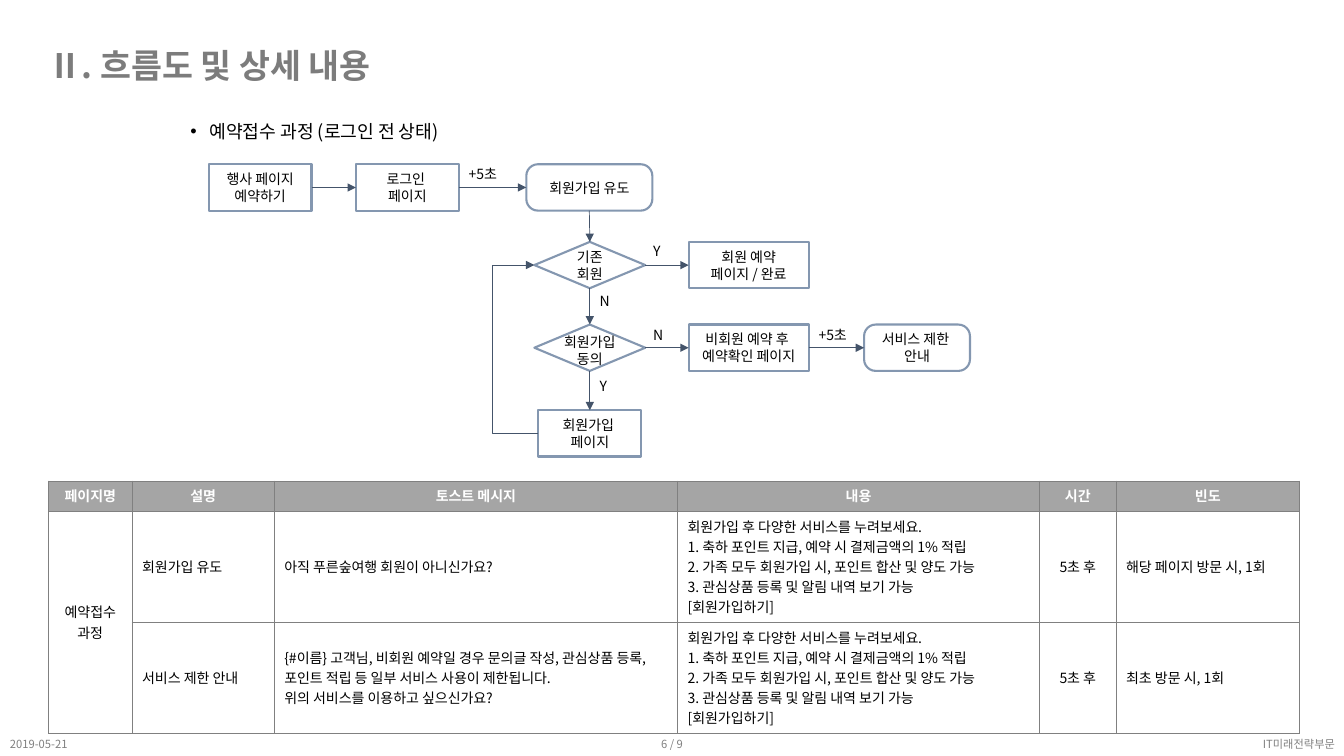
import copy
import dataclasses

import lxml.etree
import pptx
import pptx.dml.color
import pptx.enum.shapes
import pptx.enum.text
import pptx.oxml.ns
import pptx.util

Inches = pptx.util.Inches
Pt = pptx.util.Pt
qn = pptx.oxml.ns.qn
SHAPE = pptx.enum.shapes.MSO_SHAPE
CONNECTOR = pptx.enum.shapes.MSO_CONNECTOR
ALIGN = pptx.enum.text.PP_ALIGN
ANCHOR = pptx.enum.text.MSO_ANCHOR
AUTO_SIZE = pptx.enum.text.MSO_AUTO_SIZE


@dataclasses.dataclass(frozen=True)
class Theme:
    font: str = "Noto Sans CJK KR"
    text: str = "000000"
    title: str = "7C7C7C"
    muted: str = "808080"
    white: str = "FFFFFF"
    header: str = "A5A5A5"
    node: str = "8497B0"
    arrow: str = "44546A"
    body_size: float = 10
    title_size: float = 24
    subtitle_size: float = 13
    footer_size: float = 8


THEME = Theme()

TITLE = "Ⅱ. 흐름도 및 상세 내용"
SUBTITLE = "예약접수 과정 (로그인 전 상태)"
NODE_HEIGHT = 0.46
TOP_ROW, MEMBER_ROW, CONSENT_ROW, JOIN_ROW = 1.63, 2.4, 3.22, 4.07
LOOP_X = 4.89

# name: (kind, left, top, width, text)
NODES = {
    "event": (SHAPE.RECTANGLE, 2.07, TOP_ROW, 1.02, "행사 페이지\v예약하기"),
    "login": (SHAPE.RECTANGLE, 3.53, TOP_ROW, 1.02, "로그인 \v페이지"),
    "invite": (SHAPE.ROUNDED_RECTANGLE, 5.22, TOP_ROW, 1.25, "회원가입 유도"),
    "member": (SHAPE.FLOWCHART_DECISION, 5.3, MEMBER_ROW, 1.1, "기존회원"),
    "booked": (SHAPE.RECTANGLE, 6.83, MEMBER_ROW, 1.19, "회원 예약\v페이지 / 완료"),
    "consent": (SHAPE.FLOWCHART_DECISION, 5.3, CONSENT_ROW, 1.1, ""),
    "guest": (SHAPE.RECTANGLE, 6.83, CONSENT_ROW, 1.19, "비회원 예약 후 \v예약확인 페이지"),
    "limit": (SHAPE.ROUNDED_RECTANGLE, 8.57, CONSENT_ROW, 1.05, "서비스 제한 \v안내"),
    "join": (SHAPE.RECTANGLE, 5.34, JOIN_ROW, 1.02, "회원가입 \v페이지"),
}
TOP, LEFT, BOTTOM, RIGHT = range(4)
ARROWS = [
    ("event", RIGHT, "login", LEFT),
    ("login", RIGHT, "invite", LEFT),
    ("invite", BOTTOM, "member", TOP),
    ("member", RIGHT, "booked", LEFT),
    ("member", BOTTOM, "consent", TOP),
    ("consent", RIGHT, "guest", LEFT),
    ("guest", RIGHT, "limit", LEFT),
    ("consent", BOTTOM, "join", TOP),
]
# left, top, width, height, text, alignment
LABELS = [
    (5.46, 3.26, 0.78, 0.44, "회원가입 동의", ALIGN.CENTER),
    (6.38, 2.36, 0.32, 0.27, "Y", ALIGN.LEFT),
    (5.85, 3.7, 0.33, 0.27, "Y", ALIGN.LEFT),
    (5.85, 2.85, 0.33, 0.27, "N", ALIGN.LEFT),
    (6.38, 3.19, 0.33, 0.27, "N", ALIGN.LEFT),
    (4.55, 1.59, 0.55, 0.27, "+5초", ALIGN.LEFT),
    (8.02, 3.19, 0.6, 0.27, "+5초", ALIGN.LEFT),
]
FOOTERS = [
    (0, 2.25, "2019-05-21", ALIGN.LEFT),
    (5.54, 2.25, "6 / 9", ALIGN.CENTER),
    (9.96, 3.38, "IT미래전략부문", ALIGN.RIGHT),
]

BENEFITS = (
    "회원가입 후 다양한 서비스를 누려보세요.\v1. 축하 포인트 지급, 예약 시 결제금액의 1% 적립\n"
    "2. 가족 모두 회원가입 시, 포인트 합산 및 양도 가능\v"
    "3. 관심상품 등록 및 알림 내역 보기 가능\v[회원가입하기]"
)
LIMIT_MESSAGE = (
    "{#이름} 고객님, 비회원 예약일 경우 문의글 작성, 관심상품 등록, 포인트 적립 등 "
    "일부 서비스 사용이 제한됩니다.\v위의 서비스를 이용하고 싶으신가요?"
)
TABLE_ROWS = [
    ["페이지명", "설명", "토스트 메시지", "내용", "시간", "빈도"],
    ["예약접수 과정", "회원가입 유도", "아직 푸른숲여행 회원이 아니신가요?", BENEFITS,
     "5초 후", "해당 페이지 방문 시, 1회"],
    ["", "서비스 제한 안내", LIMIT_MESSAGE, BENEFITS, "5초 후", "최초 방문 시, 1회"],
]
COLUMN_WIDTHS = [0.83, 1.41, 4, 3.59, 0.76, 1.82]
ROW_HEIGHTS = [0.3, 1.1, 1.1]
CENTERED_COLUMNS = (0, 4)


def color(value):
    return pptx.dml.color.RGBColor.from_string(value)


def write(frame, text, size=THEME.body_size, ink=THEME.text, bold=False,
          align=ALIGN.LEFT, spacing=None):
    """Fill a text frame; line breaks take the format of the run before them."""
    frame.text = text
    frame.word_wrap = True
    for paragraph in frame.paragraphs:
        paragraph.alignment = align
        if spacing:
            paragraph.line_spacing = spacing
        for run in paragraph.runs:
            run.font.size = Pt(size)
            run.font.bold = bold
            run.font.color.rgb = color(ink)
            run.font.name = THEME.font
            properties = run._r.get_or_add_rPr()
            lxml.etree.SubElement(properties, qn("a:ea"), typeface=THEME.font)
        for line_break in paragraph._p.findall(qn("a:br")):
            line_break.append(copy.deepcopy(properties))


def add_text(slide, left, top, width, height, text, **style):
    box = slide.shapes.add_textbox(Inches(left), Inches(top), Inches(width), Inches(height))
    write(box.text_frame, text, **style)
    return box.text_frame


def add_node(slide, kind, left, top, width, text):
    node = slide.shapes.add_shape(
        kind, Inches(left), Inches(top), Inches(width), Inches(NODE_HEIGHT))
    node.shadow.inherit = False
    node.fill.background()
    node.line.color.rgb = color(THEME.node)
    node.line.width = Pt(1.5)
    if kind == SHAPE.ROUNDED_RECTANGLE:
        node.adjustments[0] = 0.25
    if text:
        write(node.text_frame, text, align=ALIGN.CENTER)
        node.text_frame.vertical_anchor = ANCHOR.MIDDLE
    return node


def add_arrow(slide, kind, *ends):
    arrow = slide.shapes.add_connector(kind, *(Inches(value) for value in ends))
    arrow.line.color.rgb = color(THEME.arrow)
    arrow.line.width = Pt(0.5)
    lxml.etree.SubElement(arrow.line._get_or_add_ln(), qn("a:tailEnd"), type="triangle")
    lxml.etree.SubElement(arrow._element.spPr, qn("a:effectLst"))
    return arrow


def add_loop(slide):
    """Lead from the join page back to the member question, round the left side."""
    start_x, end_x = NODES["join"][1], NODES["member"][1]
    middle = NODE_HEIGHT / 2
    loop = add_arrow(slide, CONNECTOR.ELBOW, start_x, JOIN_ROW + middle,
                     end_x, MEMBER_ROW + middle)
    bend = round((start_x - LOOP_X) / (start_x - end_x) * 100000)
    geometry = loop._element.spPr.find(qn("a:prstGeom"))
    guides = geometry.find(qn("a:avLst"))
    if guides is None:
        guides = lxml.etree.SubElement(geometry, qn("a:avLst"))
    lxml.etree.SubElement(guides, qn("a:gd"), name="adj1", fmla=f"val {bend}")


def add_borders(cell):
    properties = cell._tc.get_or_add_tcPr()
    for position, side in enumerate(("lnL", "lnR", "lnT", "lnB")):
        border = lxml.etree.Element(qn(f"a:{side}"), w=str(Pt(0.5)))
        fill = lxml.etree.SubElement(border, qn("a:solidFill"))
        lxml.etree.SubElement(fill, qn("a:srgbClr"), val=THEME.muted)
        properties.insert(position, border)


def add_details(slide):
    table = slide.shapes.add_table(
        len(TABLE_ROWS), len(COLUMN_WIDTHS), Inches(0.48), Inches(4.77),
        Inches(sum(COLUMN_WIDTHS)), Inches(sum(ROW_HEIGHTS))).table
    table.first_row = table.horz_banding = False
    for column, width in zip(table.columns, COLUMN_WIDTHS):
        column.width = Inches(width)
    for row_index, (values, height) in enumerate(zip(TABLE_ROWS, ROW_HEIGHTS)):
        table.rows[row_index].height = Inches(height)
        header = row_index == 0
        for column_index, text in enumerate(values):
            cell = table.cell(row_index, column_index)
            centered = header or column_index in CENTERED_COLUMNS
            write(cell.text_frame, text, bold=header,
                  ink=THEME.white if header else THEME.text,
                  align=ALIGN.CENTER if centered else ALIGN.LEFT)
            if header:
                cell.fill.solid()
                cell.fill.fore_color.rgb = color(THEME.header)
            else:
                cell.fill.background()
                cell.vertical_anchor = ANCHOR.MIDDLE
            add_borders(cell)
    table.cell(1, 0).merge(table.cell(2, 0))


def add_headings(slide):
    title = slide.shapes.title
    title.left, title.top, title.width, title.height = map(Inches, (0.38, 0.4, 5.04, 0.5))
    write(title.text_frame, TITLE, size=THEME.title_size, ink=THEME.title, bold=True)
    title.text_frame.vertical_anchor = ANCHOR.TOP
    title.text_frame.auto_size = AUTO_SIZE.NONE
    frame = add_text(slide, 1.79, 1.04, 2.96, 0.43, SUBTITLE,
                     size=THEME.subtitle_size, spacing=1.5)
    properties = frame.paragraphs[0]._p.get_or_add_pPr()
    properties.set("marL", str(Inches(0.19)))
    properties.set("indent", str(Inches(-0.19)))
    lxml.etree.SubElement(properties, qn("a:buFont"), typeface="Arial")
    lxml.etree.SubElement(properties, qn("a:buChar"), char="•")


def main():
    presentation = pptx.Presentation()
    presentation.slide_width, presentation.slide_height = Inches(13.33), Inches(7.5)
    slide = presentation.slides.add_slide(presentation.slide_layouts[5])
    add_headings(slide)
    nodes = {name: add_node(slide, *details) for name, details in NODES.items()}
    for source, source_side, target, target_side in ARROWS:
        arrow = add_arrow(slide, CONNECTOR.STRAIGHT, 0, 0, 0, 0)
        arrow.begin_connect(nodes[source], source_side)
        arrow.end_connect(nodes[target], target_side)
    add_loop(slide)
    for left, top, width, height, text, align in LABELS:
        frame = add_text(slide, left, top, width, height, text, align=align)
        frame.auto_size = AUTO_SIZE.SHAPE_TO_FIT_TEXT
    add_details(slide)
    for left, width, text, align in FOOTERS:
        frame = add_text(slide, left, 7.26, width, 0.24, text, size=THEME.footer_size,
                         ink=THEME.muted, align=align)
        frame.vertical_anchor = ANCHOR.MIDDLE
    presentation.save("out.pptx")


if __name__ == "__main__":
    main()
